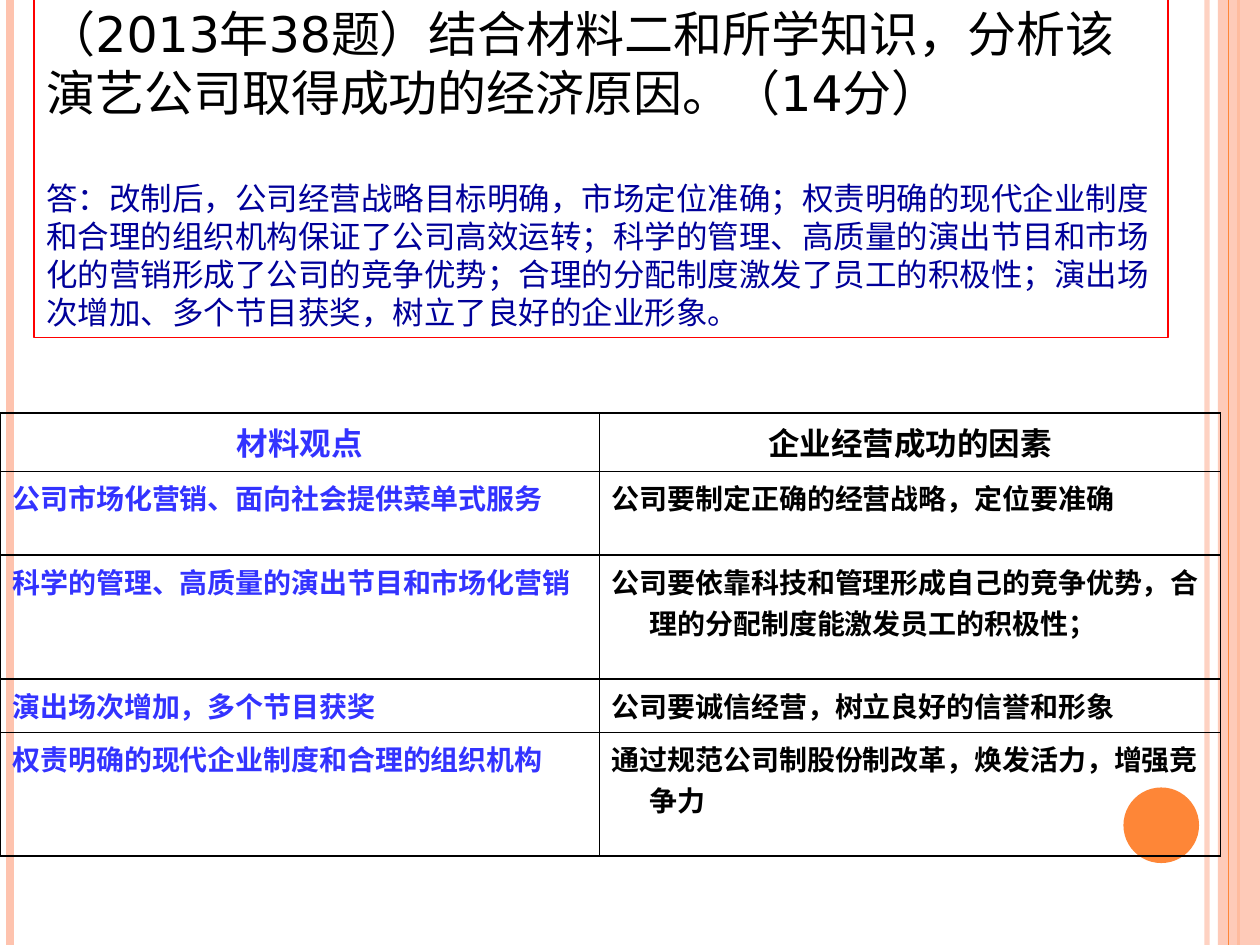
"""Build an exam-answer slide with a question box and a two-column table."""
from dataclasses import dataclass

from lxml import etree
from pptx import Presentation
from pptx import util as u
from pptx.dml.color import RGBColor
from pptx.enum import shapes, text
from pptx.oxml import ns

BLACK = RGBColor(0x00, 0x00, 0x00)
BLUE = RGBColor(0x33, 0x33, 0xFF)
NAVY = RGBColor(0x00, 0x00, 0x99)
RED = RGBColor(0xFF, 0x00, 0x00)
ORANGE = RGBColor(0xFE, 0x86, 0x37)
PEACH = RGBColor(0xFE, 0xC3, 0xAE)
SLIDE_WIDTH, SLIDE_HEIGHT = 720, 540
HANGING = 21.6


@dataclass(frozen=True)
class Stripe:
    left: float
    width: float
    color: RGBColor
    opacity: int = 100


@dataclass(frozen=True)
class Row:
    height: float
    viewpoint: str
    factors: tuple[str, ...]
    size: int = 16
    align: text.PP_ALIGN = text.PP_ALIGN.LEFT


@dataclass(frozen=True)
class Passage:
    wording: str
    size: int
    font: str
    color: RGBColor
    space_before: float = 0


STRIPES = (
    Stripe(689.8, 3, PEACH, 75),
    Stripe(5.8, 4.5, PEACH),
    Stripe(707.8, 1.5, ORANGE),
)
EDGE_STRIPE = Stripe(702, 0.75, ORANGE)
ROWS = (
    Row(33.2, "材料观点", ("企业经营成功的因素",), 18, text.PP_ALIGN.CENTER),
    Row(48, "公司市场化营销、面向社会提供菜单式服务",
        ("公司要制定正确的经营战略，定位要准确",)),
    Row(70.8, "科学的管理、高质量的演出节目和市场化营销",
        ("公司要依靠科技和管理形成自己的竞争优势，", "合理的分配制度能激发员工的积极性；")),
    Row(30.4, "演出场次增加，多个节目获奖",
        ("公司要诚信经营，树立良好的信誉和形象",)),
    Row(70.8, "权责明确的现代企业制度和合理的组织机构",
        ("通过规范公司制股份制改革，焕发活力，增强竞争力",)),
)
COLUMN_WIDTHS = (342.5, 355)
RUN_FONTS = ("Times New Roman", "Cambria")
PASSAGES = (
    Passage("（2013年38题）结合材料二和所学知识，分析该演艺公司取得成功的经济原因。（14分）",
            28, "DejaVu Sans", BLACK),
    Passage("答：改制后，公司经营战略目标明确，市场定位准确；权责明确的现代企业制度和合理的组织机构"
            "保证了公司高效运转；科学的管理、高质量的演出节目和市场化的营销形成了公司的竞争优势；"
            "合理的分配制度激发了员工的积极性；演出场次增加、多个节目获奖，树立了良好的企业形象。",
            18, "Arial", NAVY, 33),
)


def set_opacity(properties, percent: int) -> None:
    color = properties.find(".//" + ns.qn("a:srgbClr"))
    etree.SubElement(color, ns.qn("a:alpha"), val=str(percent * 1000))


def draw_stripe(page, stripe: Stripe) -> None:
    left = u.Pt(stripe.left)
    line = page.shapes.add_connector(
        shapes.MSO_CONNECTOR.STRAIGHT, left, 0, left, u.Pt(SLIDE_HEIGHT))
    line.line.color.rgb = stripe.color
    line.line.width = u.Pt(stripe.width)
    properties = line._element.spPr
    if stripe.opacity < 100:
        set_opacity(properties, stripe.opacity)
    etree.SubElement(properties, ns.qn("a:effectLst"))


def draw_shape(page, kind: shapes.MSO_SHAPE, left: float, top: float,
               width: float, height: float, fill: RGBColor | None):
    shape = page.shapes.add_shape(kind, u.Pt(left), u.Pt(top), u.Pt(width), u.Pt(height))
    shape.shadow.inherit = False
    shape.line.fill.background()
    if fill is None:
        shape.fill.background()
    else:
        shape.fill.solid()
        shape.fill.fore_color.rgb = fill
    return shape


def style_font(font, size: int, color: RGBColor) -> None:
    font.size = u.Pt(size)
    font.color.rgb = color


def add_borders(cell) -> None:
    properties = cell._tc.get_or_add_tcPr()
    for position, side in enumerate(("lnL", "lnR", "lnT", "lnB")):
        border = etree.Element(ns.qn(f"a:{side}"), w=str(u.Pt(1)))
        fill = etree.SubElement(border, ns.qn("a:solidFill"))
        etree.SubElement(fill, ns.qn("a:srgbClr"), val=str(BLACK))
        properties.insert(position, border)


def fill_cell(cell, row: Row, wording: tuple[str, ...], color: RGBColor) -> None:
    cell.fill.background()
    add_borders(cell)
    para = cell.text_frame.paragraphs[0]
    para.alignment = row.align
    indents = para._p.get_or_add_pPr()
    indents.set("marL", str(u.Pt(HANGING)))
    indents.set("indent", str(u.Pt(-HANGING)))
    style_font(para.font, row.size, color)
    para.font.bold = True
    for part, font in zip(wording, RUN_FONTS):
        span = para.add_run()
        span.text = part
        span.font.name = font


def draw_table(page, left: float, top: float) -> None:
    table = page.shapes.add_table(
        len(ROWS), len(COLUMN_WIDTHS), u.Pt(left), u.Pt(top),
        u.Pt(sum(COLUMN_WIDTHS)), u.Pt(sum(row.height for row in ROWS))).table
    table.first_row = table.horz_banding = False
    for column, width in zip(table.columns, COLUMN_WIDTHS):
        column.width = u.Pt(width)
    for index, row in enumerate(ROWS):
        table.rows[index].height = u.Pt(row.height)
        fill_cell(table.cell(index, 0), row, (row.viewpoint,), BLUE)
        fill_cell(table.cell(index, 1), row, row.factors, BLACK)


def draw_question(page) -> None:
    box = draw_shape(page, shapes.MSO_SHAPE.RECTANGLE, 19.5, -2, 648, 195, None)
    box.line.color.rgb = RED
    box.line.width = u.Pt(0.75)
    frame = box.text_frame
    frame.word_wrap = True
    frame.auto_size = text.MSO_AUTO_SIZE.SHAPE_TO_FIT_TEXT
    frame.vertical_anchor = text.MSO_ANCHOR.MIDDLE
    for index, passage in enumerate(PASSAGES):
        para = frame.add_paragraph() if index else frame.paragraphs[0]
        para.text = passage.wording
        para.alignment = text.PP_ALIGN.LEFT
        para.space_before = u.Pt(passage.space_before)
        style_font(para.font, passage.size, passage.color)
        para.font.name = passage.font


def main() -> None:
    deck = Presentation()
    deck.slide_width, deck.slide_height = u.Pt(SLIDE_WIDTH), u.Pt(SLIDE_HEIGHT)
    page = deck.slides.add_slide(deck.slide_layouts[6])
    for stripe in STRIPES:
        draw_stripe(page, stripe)
    band = draw_shape(page, shapes.MSO_SHAPE.RECTANGLE, 696, 0, 24, SLIDE_HEIGHT, PEACH)
    set_opacity(band._element.spPr, 87)
    draw_stripe(page, EDGE_STRIPE)
    draw_shape(page, shapes.MSO_SHAPE.OVAL, 642, 450, 43.2, 43.2, ORANGE)
    draw_table(page, 0, 236)
    draw_question(page)
    deck.save("out.pptx")


if __name__ == "__main__":
    main()
